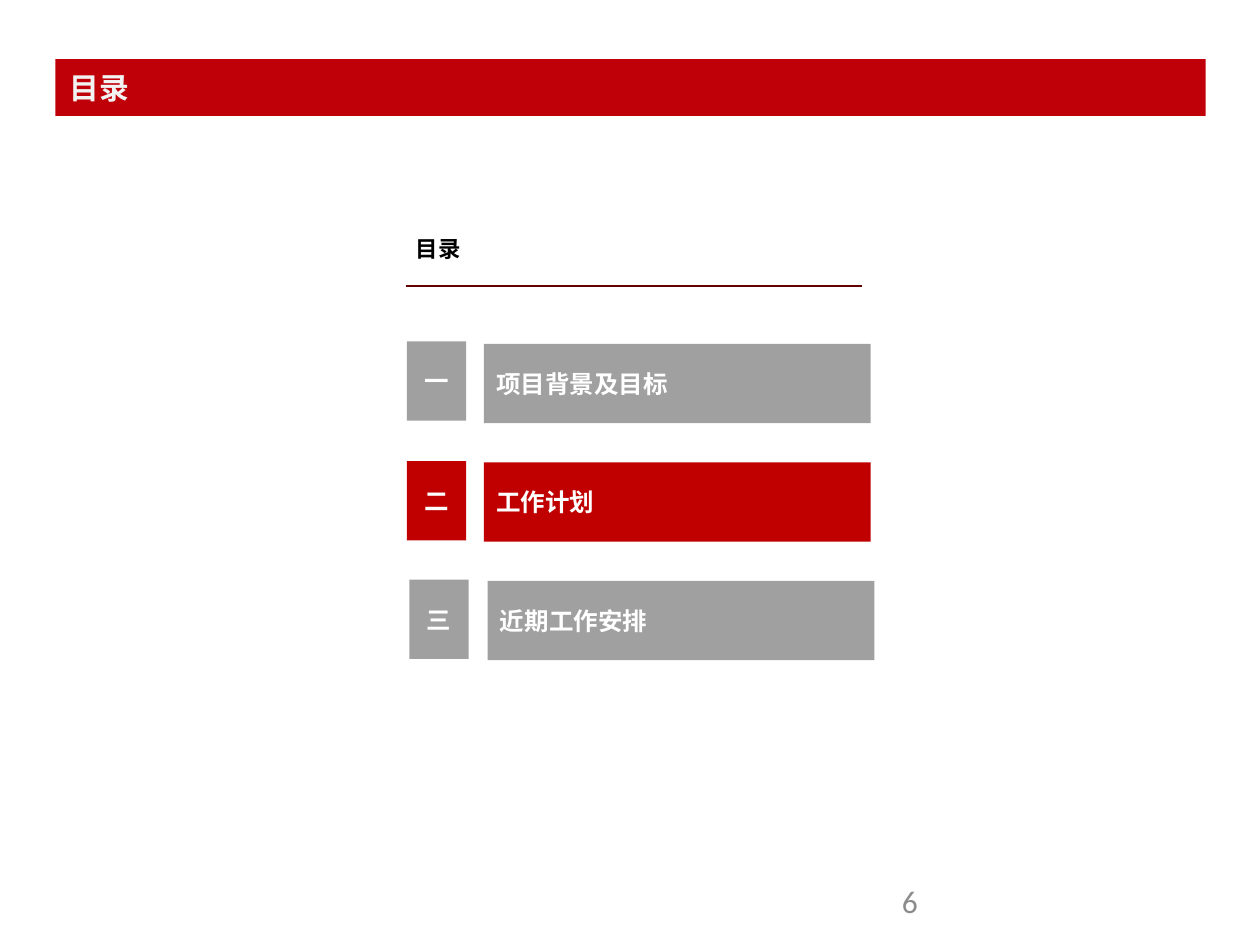
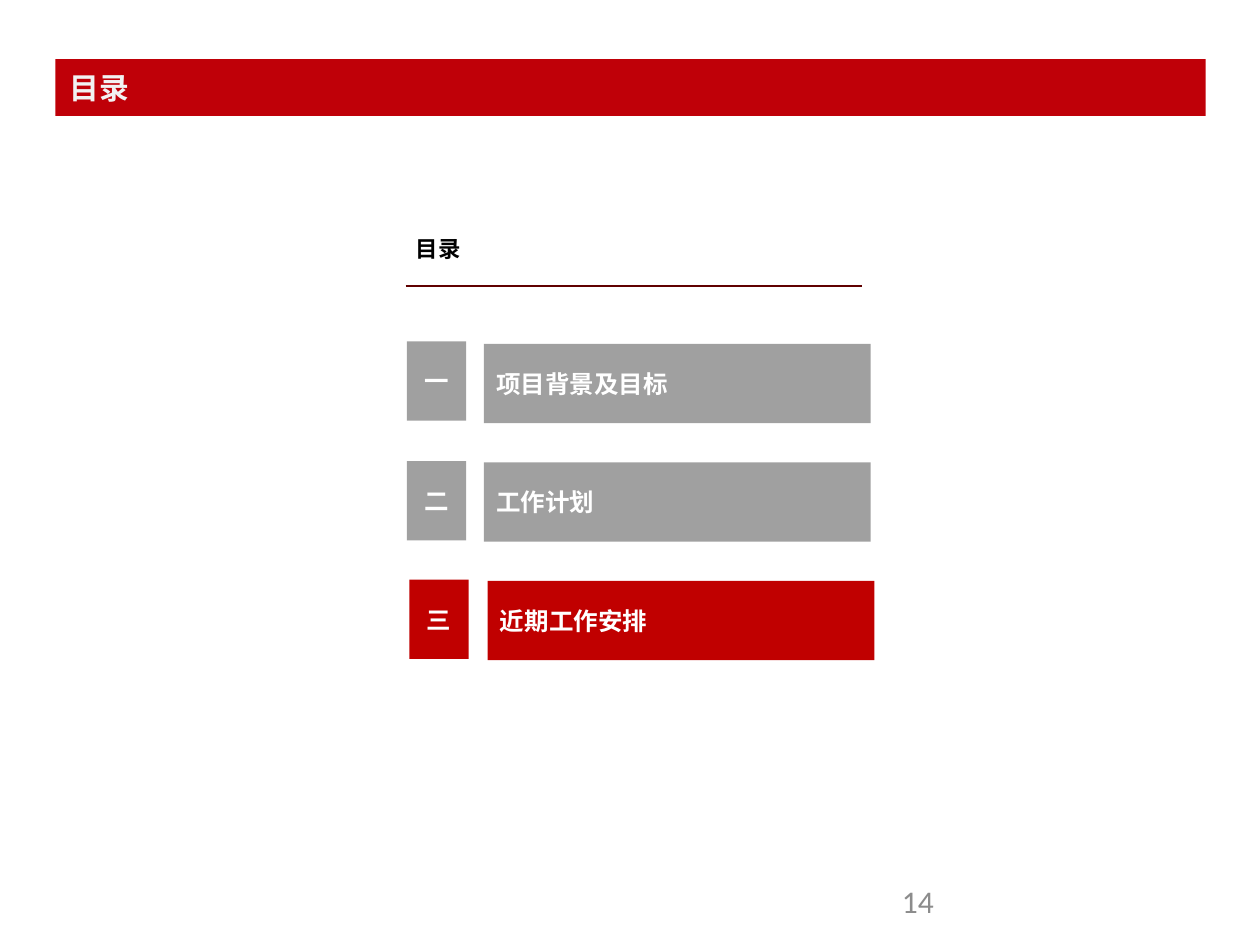
from lxml import etree
from pptx import Presentation
from pptx.dml.color import RGBColor
from pptx.enum.shapes import MSO_CONNECTOR, MSO_SHAPE
from pptx.enum.text import MSO_ANCHOR, MSO_AUTO_SIZE, PP_ALIGN
from pptx.oxml.ns import qn
from pptx.util import Pt

RECT = MSO_SHAPE.RECTANGLE
LINE = MSO_CONNECTOR.STRAIGHT
LEFT, CENTER = PP_ALIGN.LEFT, PP_ALIGN.CENTER
TOP, MIDDLE, BOTTOM = MSO_ANCHOR.TOP, MSO_ANCHOR.MIDDLE, MSO_ANCHOR.BOTTOM
PX = 9144
HAN, LATIN = "Noto Sans CJK SC", "Calibri"
BAND, RED, GRAY, RULE = "BF0008", "C00000", "A0A0A0", "600000"
WHITE, PALE, BLACK, DIM = "FFFFFF", "F2F2F2", "000000", "8C8C8C"
HEAD = "目录"
TOPICS = [
    ("一", "项目背景及目标", 323, 271, 384, 273),
    ("二", "工作计划", 323, 366, 384, 367),
    ("三", "近期工作安排", 325, 460, 387, 461),
]
PAGES = [("6", 1), ("14", 2)]


def write(shape, text, size, color, font=HAN, bold=True, align=LEFT, anchor=MIDDLE):
    frame = shape.text_frame
    frame.word_wrap = True
    frame.auto_size = MSO_AUTO_SIZE.NONE
    frame.vertical_anchor = anchor
    frame.text = text
    para = frame.paragraphs[0]
    para.alignment = align
    run = para.runs[0]
    run.font.size = Pt(size)
    run.font.bold = bold
    run.font.name = font
    run.font.color.rgb = RGBColor.from_string(color)
    etree.SubElement(run.font._element, qn("a:ea"), typeface=font)
    return run


def block(slide, left, top, width, height, color):
    shape = slide.shapes.add_shape(RECT, left * PX, top * PX, width * PX, height * PX)
    shape.shadow.inherit = False
    shape.fill.solid()
    shape.fill.fore_color.rgb = RGBColor.from_string(color)
    shape.line.fill.background()
    return shape


deck = Presentation()
deck.slide_width, deck.slide_height = 1000 * PX, 750 * PX

for page, active in PAGES:
    slide = deck.slides.add_slide(deck.slide_layouts[5])
    band = block(slide, 44, 47, 913, 45, BAND)
    slide.shapes._spTree.insert(2, band._element)

    title = slide.shapes.title
    title.left, title.top, title.width, title.height = 45 * PX, 55 * PX, 566 * PX, 34 * PX
    write(title, HEAD, 17, PALE, anchor=BOTTOM)
    title.text_frame.paragraphs[0].line_spacing = 0.9

    label = slide.shapes.add_textbox(330 * PX, 177 * PX, 345 * PX, 37 * PX)
    label.text_frame.margin_left = label.text_frame.margin_right = 0
    run = write(label, HEAD, 16, BLACK)
    run.font._element.set("cap", "small")

    rule = slide.shapes.add_connector(LINE, 322 * PX, 227 * PX, 684 * PX, 227 * PX)
    rule.line.color.rgb = RGBColor.from_string(RULE)
    rule.line.width = Pt(1.5)
    etree.SubElement(rule._element.spPr, qn("a:effectLst"))

    for index, (mark, topic, left, top, start, level) in enumerate(TOPICS):
        color = RED if index == active else GRAY
        write(block(slide, start, level, 307, 63, color), topic, 14, WHITE)
        write(block(slide, left, top, 47, 63, color), mark, 14, WHITE, align=CENTER)

    number = slide.shapes.add_textbox(706 * PX, 695 * PX, 225 * PX, 40 * PX)
    write(number, page, 18, DIM, LATIN, False, anchor=TOP)

deck.save("out.pptx")
